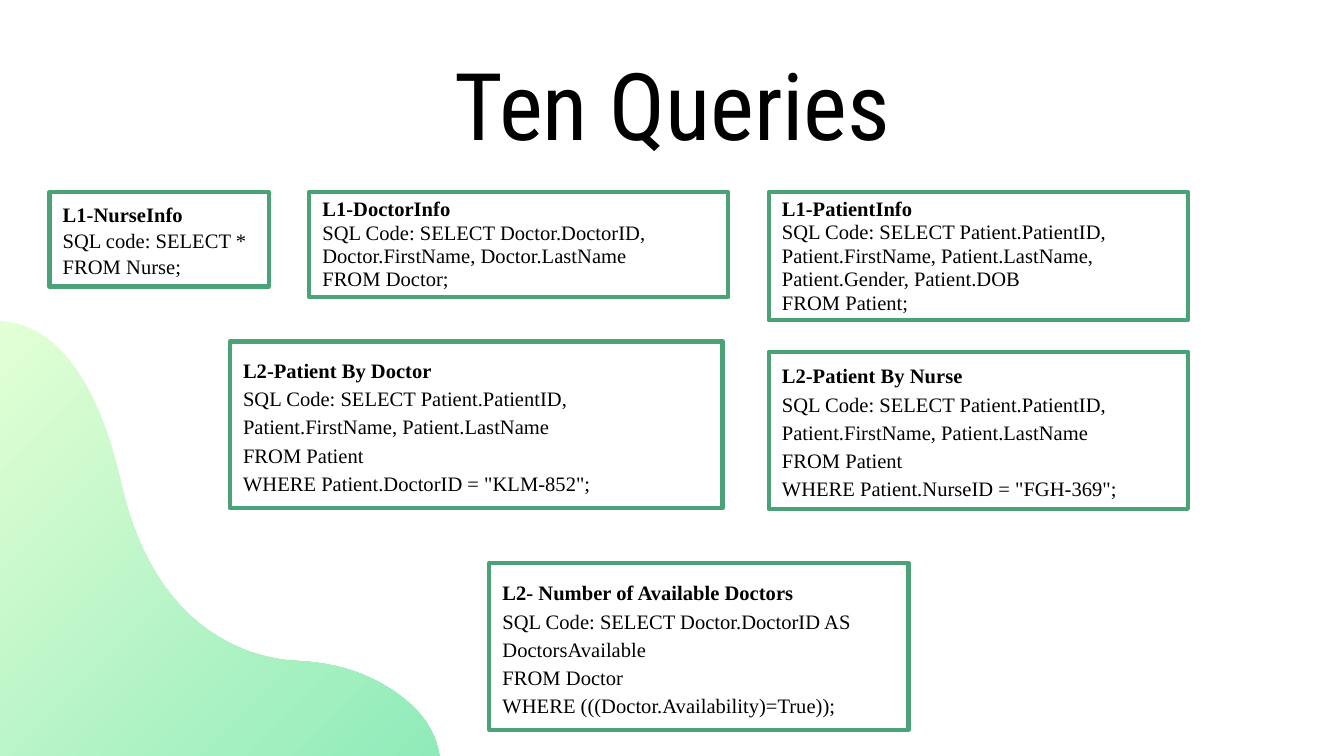
from pptx import Presentation
from pptx.dml.color import RGBColor
from pptx.enum.shapes import MSO_SHAPE
from pptx.enum.text import MSO_ANCHOR, PP_ALIGN
from pptx.util import Pt

RECTANGLE = MSO_SHAPE.RECTANGLE
TOP, MIDDLE = MSO_ANCHOR.TOP, MSO_ANCHOR.MIDDLE
LEFT, CENTER = PP_ALIGN.LEFT, PP_ALIGN.CENTER

SLIDE_WIDTH, SLIDE_HEIGHT = 720, 405
TITLE_FONT, QUERY_FONT = "Roboto Condensed", "Times New Roman"
BLACK, GREEN, PALE_LIME, MINT = "000000", "4AA276", "E3FFD5", "90EBBA"
INSET = 7.2
CURVE_STEPS = 24

WAVE_START = (0, 172)
WAVE_CURVES = [
    ((18, 172.8), (48.2, 185.8), (64.8, 258.5)),
    ((83.5, 342), (138.2, 353.5), (160.6, 354.2)),
    ((174.2, 355), (187.2, 357.8), (199.4, 363.6)),
    ((215.3, 371.5), (232.6, 384.5), (235.4, SLIDE_HEIGHT)),
]

PATIENT_NAMES = "SQL Code: SELECT Patient.PatientID, Patient.FirstName, Patient.LastName"
QUERIES = [
    ((26.5, 103, 117.5, 50.5), 1.05, MIDDLE,
     ["L1-NurseInfo", "SQL code: SELECT *", "FROM Nurse;"]),
    ((165.6, 103, 224.6, 56.2), 0.95, MIDDLE,
     ["L1-DoctorInfo",
      "SQL Code: SELECT Doctor.DoctorID, Doctor.FirstName, Doctor.LastName",
      "FROM Doctor;"]),
    ((411.8, 103, 224.6, 68.6), 0.95, MIDDLE,
     ["L1-PatientInfo", PATIENT_NAMES + ", Patient.Gender, Patient.DOB",
      "FROM Patient;"]),
    ((123.1, 183, 264, 89.3), 1.15, MIDDLE,
     ["L2-Patient By Doctor", PATIENT_NAMES, "FROM Patient",
      'WHERE Patient.DoctorID = "KLM-852";']),
    ((411.8, 188.4, 224.6, 84.3), 1.15, MIDDLE,
     ["L2-Patient By Nurse", PATIENT_NAMES, "FROM Patient",
      'WHERE Patient.NurseID = "FGH-369";']),
    ((262.1, 301.7, 224.6, 89.3), 1.15, TOP,
     ["L2- Number of Available Doctors",
      "SQL Code: SELECT Doctor.DoctorID AS DoctorsAvailable",
      "FROM Doctor", "WHERE (((Doctor.Availability)=True));"]),
]


def color(hex_string):
    """Return the colour for a hex string."""
    return RGBColor.from_string(hex_string)


def curve_points(start, control_1, control_2, end):
    """Return evenly stepped points along a cubic curve, without its start."""
    points = []
    for step in range(1, CURVE_STEPS + 1):
        t = step / CURVE_STEPS
        weights = ((1 - t) ** 3, 3 * t * (1 - t) ** 2, 3 * t * t * (1 - t), t ** 3)
        corners = (start, control_1, control_2, end)
        points.append(tuple(
            sum(weight * corner[axis] for weight, corner in zip(weights, corners))
            for axis in (0, 1)))
    return points


def add_wave(slide):
    """Add the gradient wave in the lower left corner."""
    points, start = [], WAVE_START
    for curve in WAVE_CURVES:
        points += curve_points(start, *curve)
        start = curve[-1]
    points.append((0, SLIDE_HEIGHT))
    builder = slide.shapes.build_freeform(Pt(WAVE_START[0]), Pt(WAVE_START[1]))
    builder.add_line_segments([(Pt(x), Pt(y)) for x, y in points], close=True)
    shape = builder.convert_to_shape()
    shape.shadow.inherit = False
    shape.line.fill.background()
    shape.fill.gradient()
    shape.fill.gradient_angle = 315
    for stop, hex_string, position in zip(
            shape.fill.gradient_stops, (PALE_LIME, MINT), (0, 1)):
        stop.color.rgb = color(hex_string)
        stop.position = position


def write_text(shape, lines, font_name, size, alignment, anchor, spacing=1.0):
    """Write the lines as paragraphs with one font."""
    text_frame = shape.text_frame
    text_frame.word_wrap = True
    text_frame.vertical_anchor = anchor
    text_frame.margin_left = text_frame.margin_right = Pt(INSET)
    text_frame.margin_top = text_frame.margin_bottom = Pt(INSET)
    text_frame.text = "\n".join(lines)
    for paragraph in text_frame.paragraphs:
        paragraph.alignment = alignment
        paragraph.line_spacing = spacing
        for run in paragraph.runs:
            run.font.name = font_name
            run.font.size = Pt(size)
            run.font.color.rgb = color(BLACK)


def add_title(slide, title):
    """Add the centred slide title."""
    shape = slide.shapes.add_textbox(Pt(57), Pt(42.5), Pt(607), Pt(25.2))
    write_text(shape, [title], TITLE_FONT, 50, CENTER, MIDDLE)


def add_query(slide, box, spacing, anchor, lines):
    """Add an outlined query box with a bold heading."""
    shape = slide.shapes.add_shape(RECTANGLE, *map(Pt, box))
    shape.shadow.inherit = False
    shape.fill.background()
    shape.line.color.rgb = color(GREEN)
    shape.line.width = Pt(2.25)
    write_text(shape, lines, QUERY_FONT, 11, LEFT, anchor, spacing)
    shape.text_frame.paragraphs[0].runs[0].font.bold = True


def main():
    """Build and save the slide."""
    presentation = Presentation()
    presentation.slide_width = Pt(SLIDE_WIDTH)
    presentation.slide_height = Pt(SLIDE_HEIGHT)
    slide = presentation.slides.add_slide(presentation.slide_layouts[6])
    add_wave(slide)
    add_title(slide, "Ten Queries")
    for query in QUERIES:
        add_query(slide, *query)
    presentation.save("out.pptx")


if __name__ == "__main__":
    main()
